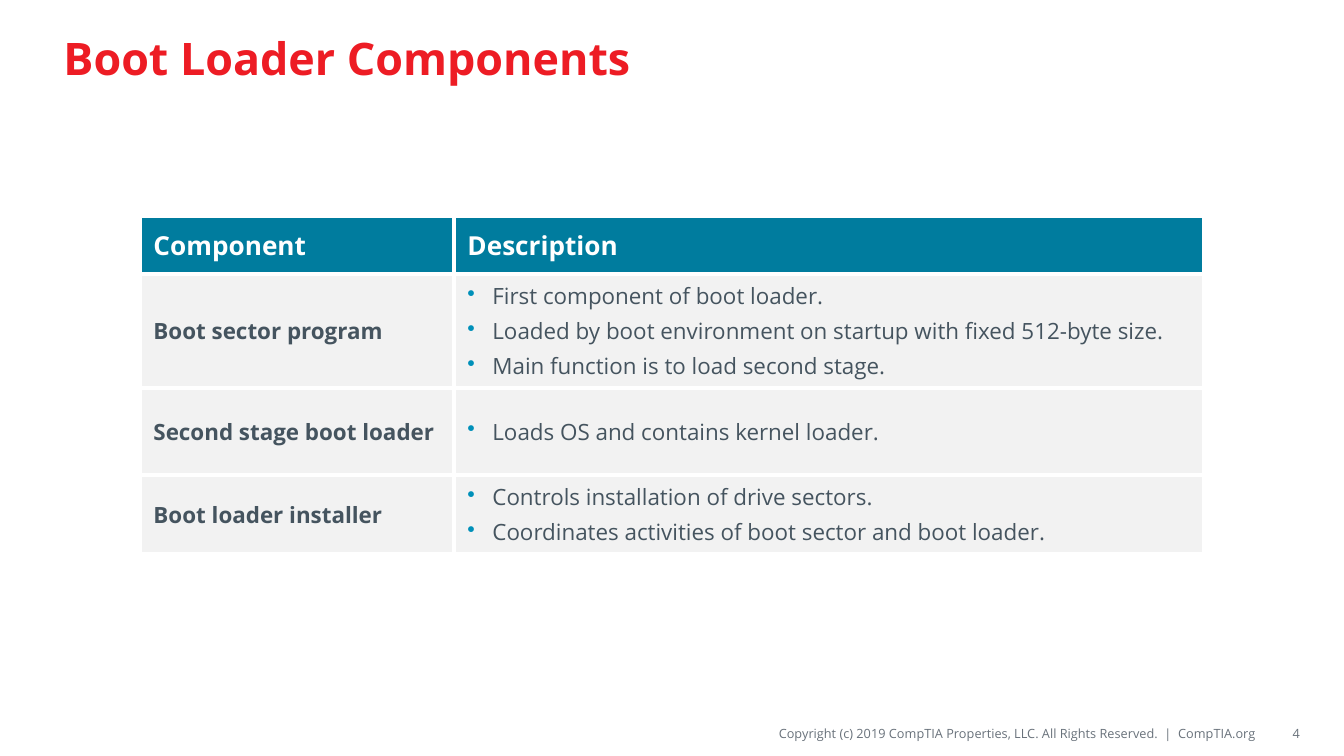
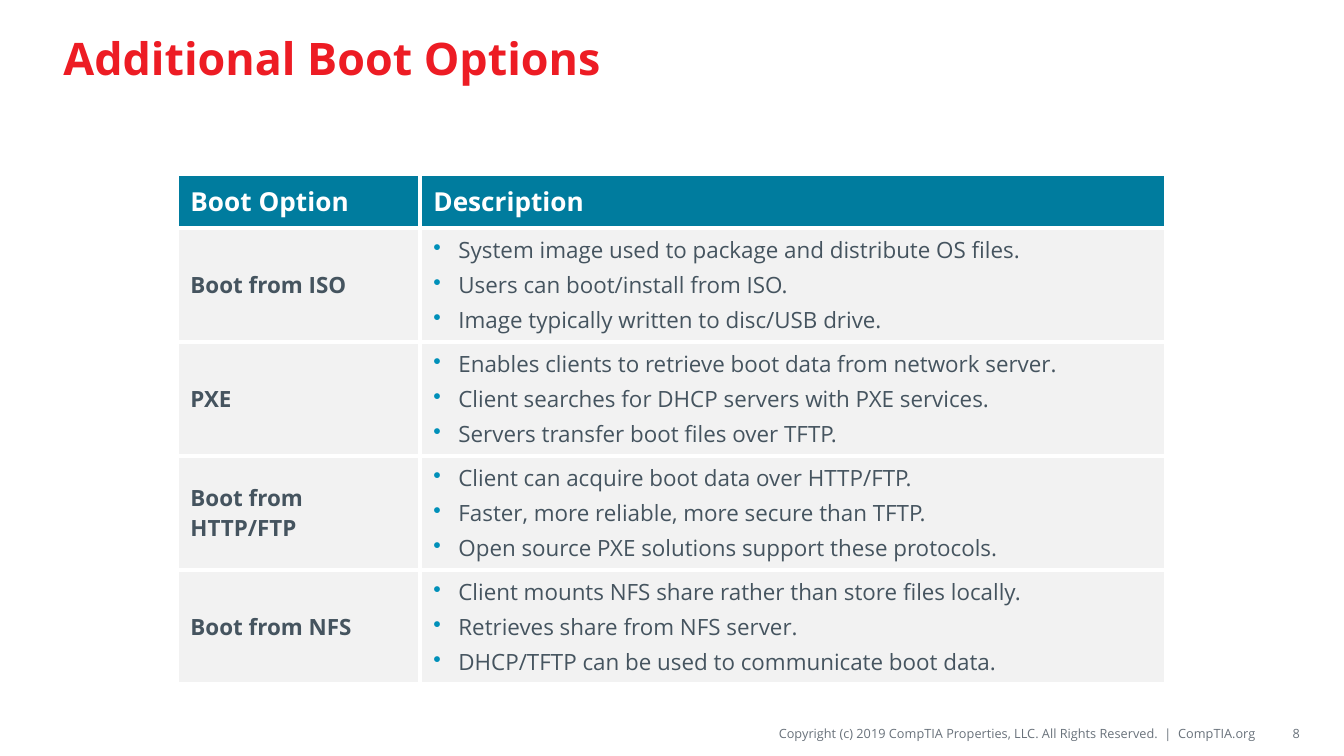
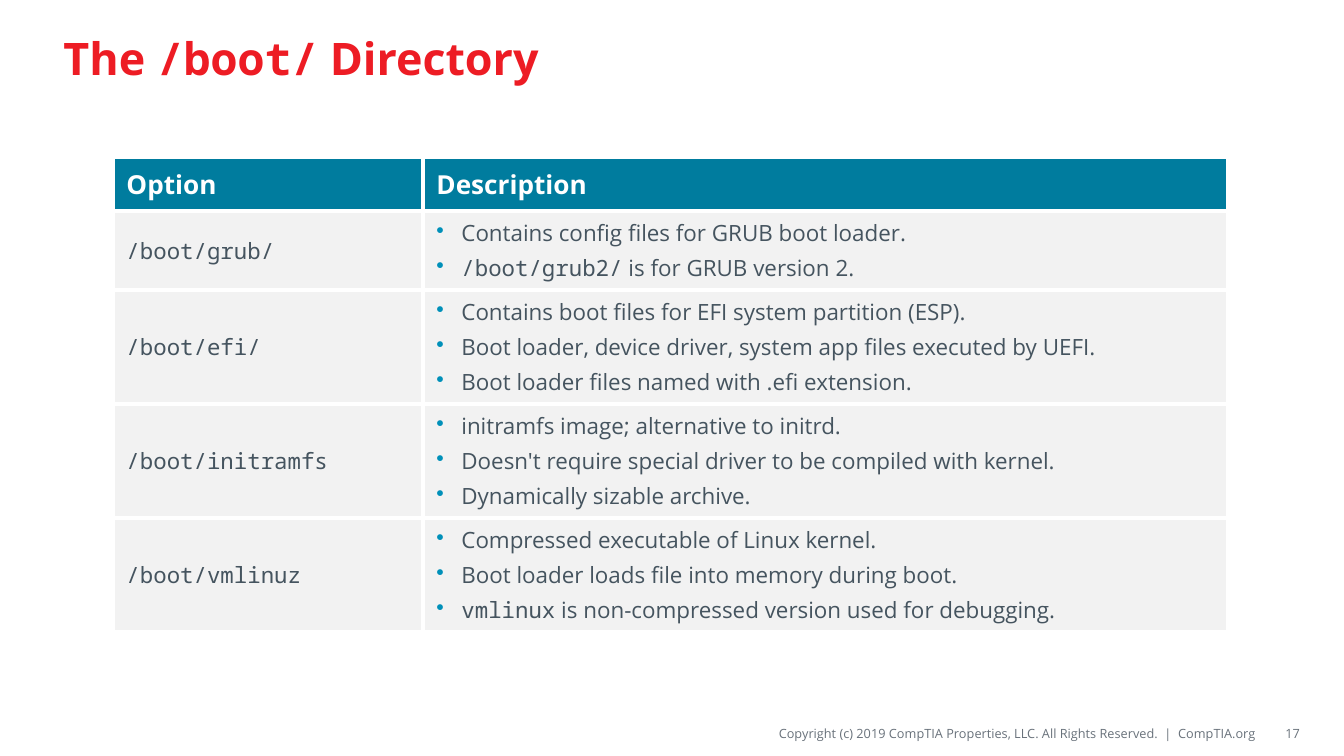
from lxml.etree import SubElement
from pptx import Presentation
from pptx.dml.color import RGBColor
from pptx.enum.text import MSO_ANCHOR, MSO_AUTO_SIZE, PP_ALIGN
from pptx.oxml.ns import qn
from pptx.util import Pt

# Theme: colours, fonts and text styles
THEME = {
    "sans": "Open Sans",
    "mono": "Noto Sans Mono",
    "header_fill": RGBColor.from_string("007C9E"),
    "row_fill": RGBColor.from_string("F2F2F2"),
    "border": "FFFFFF",
    "bullet": "0090B9",
    "title": {"size": Pt(24), "bold": True, "color": "ED1C24"},
    "header": {"size": Pt(14), "bold": True, "color": "FFFFFF"},
    "label": {"size": Pt(12), "bold": True, "color": "45545F"},
    "body": {"size": Pt(12), "bold": False, "color": "45545F"},
    "footer": {"size": Pt(6.8), "bold": False, "color": "69727B"},
}
COPYRIGHT = "Copyright (c) 2019 CompTIA Properties, LLC. All Rights Reserved.  |  CompTIA.org"

# Geometry in px, 1344 px to the 10 inch width
PX = 9144000 / 1344
LINE, CELL_PAD, INDENT = 35, 9, 25

# Content: backticks enclose monospaced text, "heights" overrides the height of a row
SLIDES = [
    {
        "title": "Boot Loader Components", "number": "4",
        "at": (140, 216), "cols": (314, 750), "header_height": 58, "heights": {2: 87},
        "header": ("Component", "Description"),
        "rows": [
            ("Boot sector program", [
                "First component of boot loader.",
                "Loaded by boot environment on startup with fixed 512-byte size.",
                "Main function is to load second stage."]),
            ("Second stage boot loader", [
                "Loads OS and contains kernel loader."]),
            ("Boot loader installer", [
                "Controls installation of drive sectors.",
                "Coordinates activities of boot sector and boot loader."]),
        ],
    },
    {
        "title": "Additional Boot Options", "number": "8",
        "at": (177, 174), "cols": (243, 746), "header_height": 54, "heights": {},
        "header": ("Boot Option", "Description"),
        "rows": [
            ("Boot from ISO", [
                "System image used to package and distribute OS files.",
                "Users can boot/install from ISO.",
                "Image typically written to disc/USB drive."]),
            ("PXE", [
                "Enables clients to retrieve boot data from network server.",
                "Client searches for DHCP servers with PXE services.",
                "Servers transfer boot files over TFTP."]),
            ("Boot from HTTP/FTP", [
                "Client can acquire boot data over HTTP/FTP.",
                "Faster, more reliable, more secure than TFTP.",
                "Open source PXE solutions support these protocols."]),
            ("Boot from NFS", [
                "Client mounts NFS share rather than store files locally.",
                "Retrieves share from NFS server.",
                "DHCP/TFTP can be used to communicate boot data."]),
        ],
    },
    {
        "title": "The `/boot/` Directory", "number": "17",
        "at": (113, 157), "cols": (310, 805), "header_height": 54, "heights": {},
        "header": ("Option", "Description"),
        "rows": [
            ("`/boot/grub/`", [
                "Contains config files for GRUB boot loader.",
                "`/boot/grub2/` is for GRUB version 2."]),
            ("`/boot/efi/`", [
                "Contains boot files for EFI system partition (ESP).",
                "Boot loader, device driver, system app files executed by UEFI.",
                "Boot loader files named with .efi extension."]),
            ("`/boot/initramfs`", [
                "initramfs image; alternative to initrd.",
                "Doesn't require special driver to be compiled with kernel.",
                "Dynamically sizable archive."]),
            ("`/boot/vmlinuz`", [
                "Compressed executable of Linux kernel.",
                "Boot loader loads file into memory during boot.",
                "`vmlinux` is non-compressed version used for debugging."]),
        ],
    },
]


def px(n):
    return round(n * PX)


def write(p, text, style):
    for i, part in enumerate(text.split("`")):
        if not part:
            continue
        r = p.add_run()
        r.text = part
        r.font.name = THEME["mono" if i % 2 else "sans"]
        for key, value in THEME[style].items():
            if key == "color":
                r.font.color.rgb = RGBColor.from_string(value)
            else:
                setattr(r.font, key, value)


prs = Presentation()
prs.slide_width, prs.slide_height = px(1344), px(756)

for page in SLIDES:
    s = prs.slides.add_slide(prs.slide_layouts[5])

    # Footer: copyright and page number
    for text, left, width, inset_left, inset_y in (
            (COPYRIGHT, 521, 735, 0, 5), (page["number"], 1261, 39, 13, 7)):
        tf = s.shapes.add_textbox(px(left), px(718), px(width), px(30)).text_frame
        for key, value in {"word_wrap": True, "vertical_anchor": MSO_ANCHOR.MIDDLE,
                           "margin_left": px(inset_left), "margin_right": 0,
                           "margin_top": px(inset_y), "margin_bottom": px(inset_y)}.items():
            setattr(tf, key, value)
        tf.paragraphs[0].alignment = PP_ALIGN.RIGHT
        write(tf.paragraphs[0], text, "footer")

    # Title
    sp = s.shapes.title
    for key, value in {"left": 50, "top": 11, "width": 1243, "height": 93}.items():
        setattr(sp, key, px(value))
    tf = sp.text_frame
    tf.auto_size = MSO_AUTO_SIZE.NONE
    tf.vertical_anchor = MSO_ANCHOR.MIDDLE
    tf.paragraphs[0].alignment = PP_ALIGN.LEFT
    write(tf.paragraphs[0], page["title"], "title")

    # Table frame, with each row as tall as its bullets
    heights = [page["header_height"]]
    for i, (label, bullets) in enumerate(page["rows"], 1):
        heights.append(page["heights"].get(i, CELL_PAD + LINE * len(bullets)))
    left, top = page["at"]
    table = s.shapes.add_table(len(heights), 2, px(left), px(top),
                               px(sum(page["cols"])), px(sum(heights))).table
    table.horz_banding = False
    for column, width in zip(table.columns, page["cols"]):
        column.width = px(width)
    for row, height in zip(table.rows, heights):
        row.height = px(height)

    # Cell borders and fills
    for i, row in enumerate(table.rows):
        for cell in row.cells:
            tcPr = cell._tc.get_or_add_tcPr()
            for side in ("lnL", "lnR", "lnT", "lnB"):
                ln = SubElement(tcPr, qn("a:" + side), w=str(Pt(2.25)))
                SubElement(SubElement(ln, qn("a:solidFill")), qn("a:srgbClr"), val=THEME["border"])
            cell.fill.solid()
            cell.fill.fore_color.rgb = THEME["row_fill" if i else "header_fill"]
            cell.vertical_anchor = MSO_ANCHOR.MIDDLE

    # Cell text
    for j, text in enumerate(page["header"]):
        write(table.cell(0, j).text_frame.paragraphs[0], text, "header")
    for i, (label, bullets) in enumerate(page["rows"], 1):
        write(table.cell(i, 0).text_frame.paragraphs[0], label,
              "body" if "`" in label else "label")
        tf = table.cell(i, 1).text_frame
        for k, text in enumerate(bullets):
            p = tf.add_paragraph() if k else tf.paragraphs[0]
            pPr = p._p.get_or_add_pPr()
            pPr.set("marL", str(px(INDENT)))
            pPr.set("indent", str(-px(INDENT)))
            SubElement(SubElement(pPr, qn("a:buClr")), qn("a:srgbClr"), val=THEME["bullet"])
            SubElement(pPr, qn("a:buChar"), char="•")
            if k:
                p.space_before = Pt(2.4)
            write(p, text, "body")

prs.save("out.pptx")
